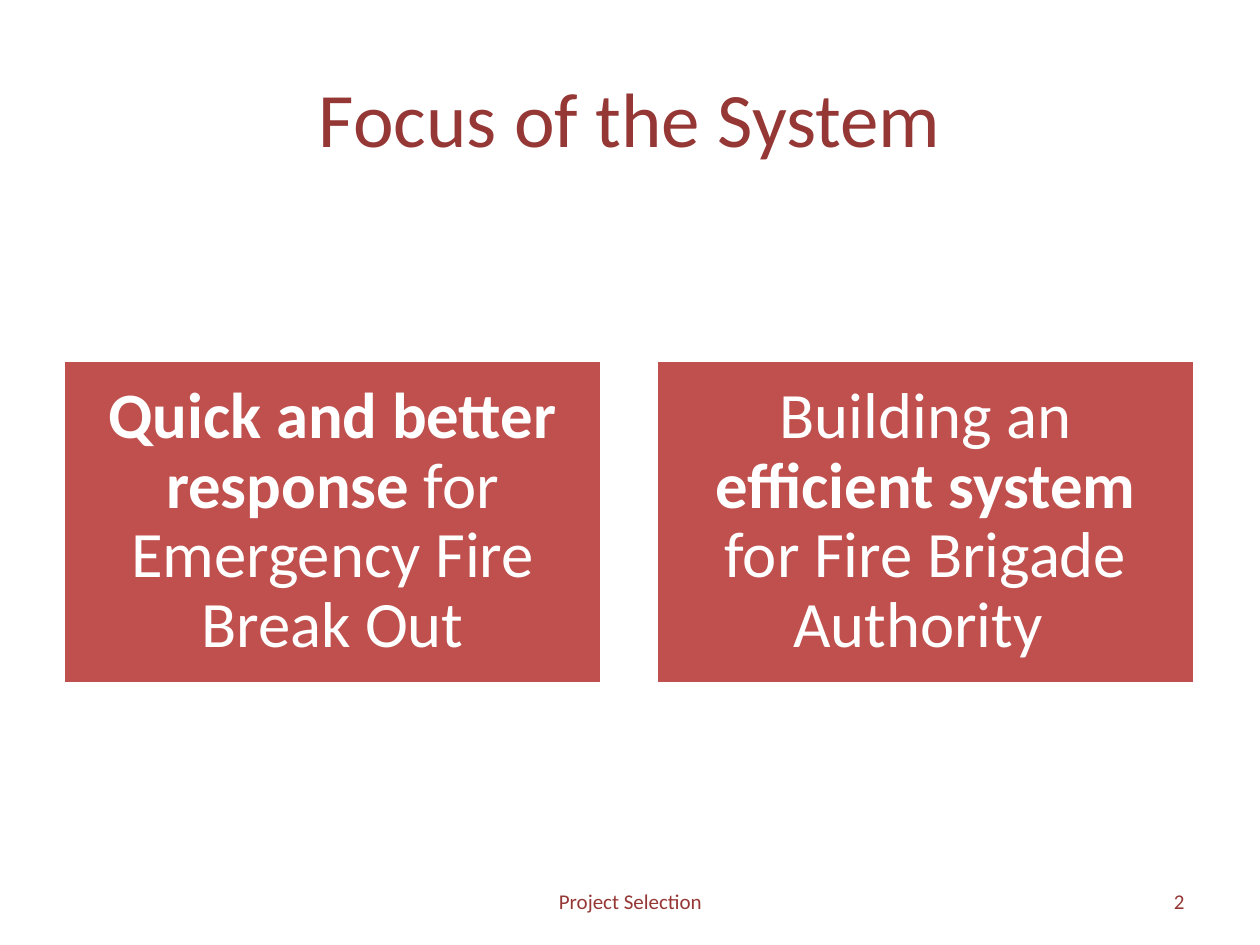
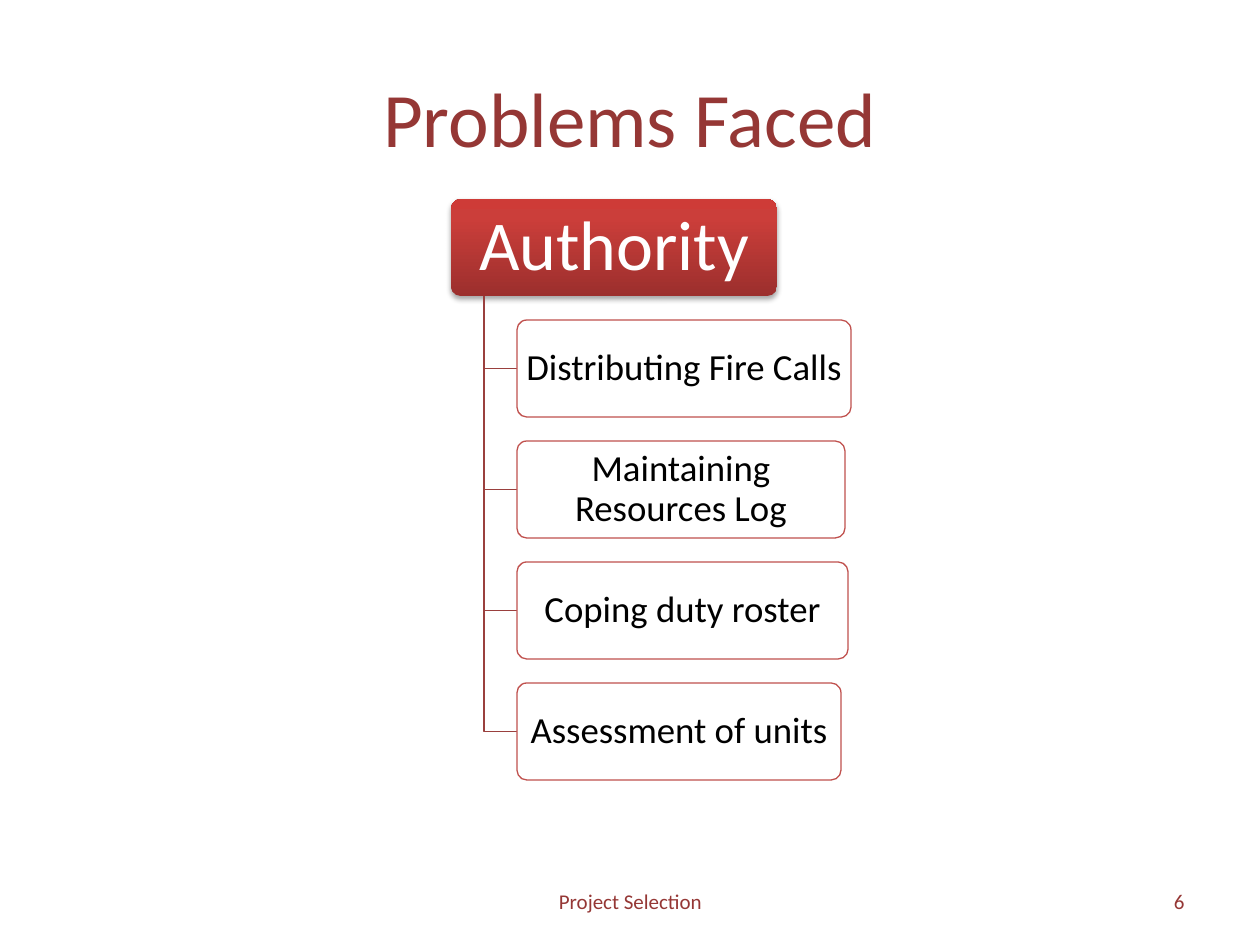
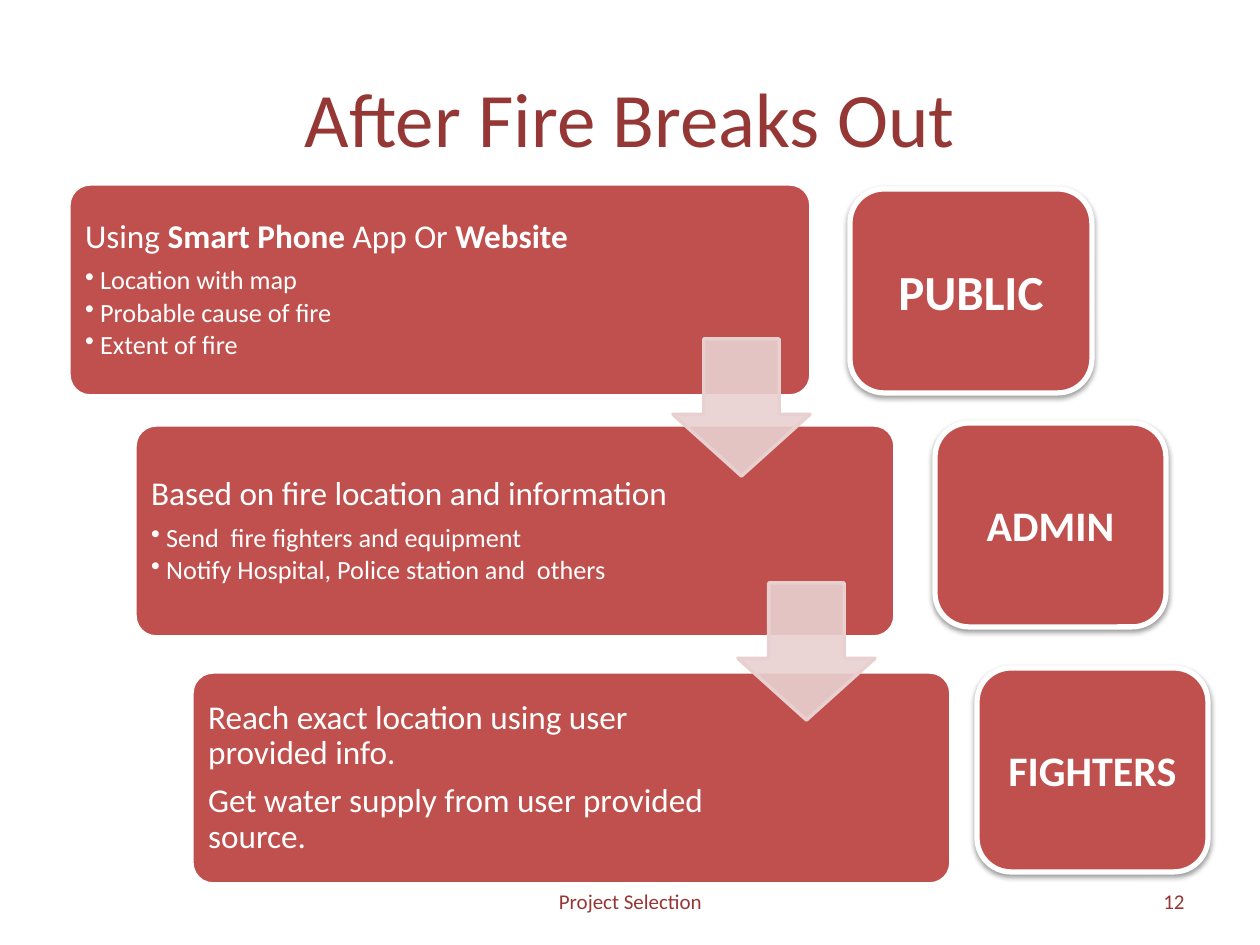
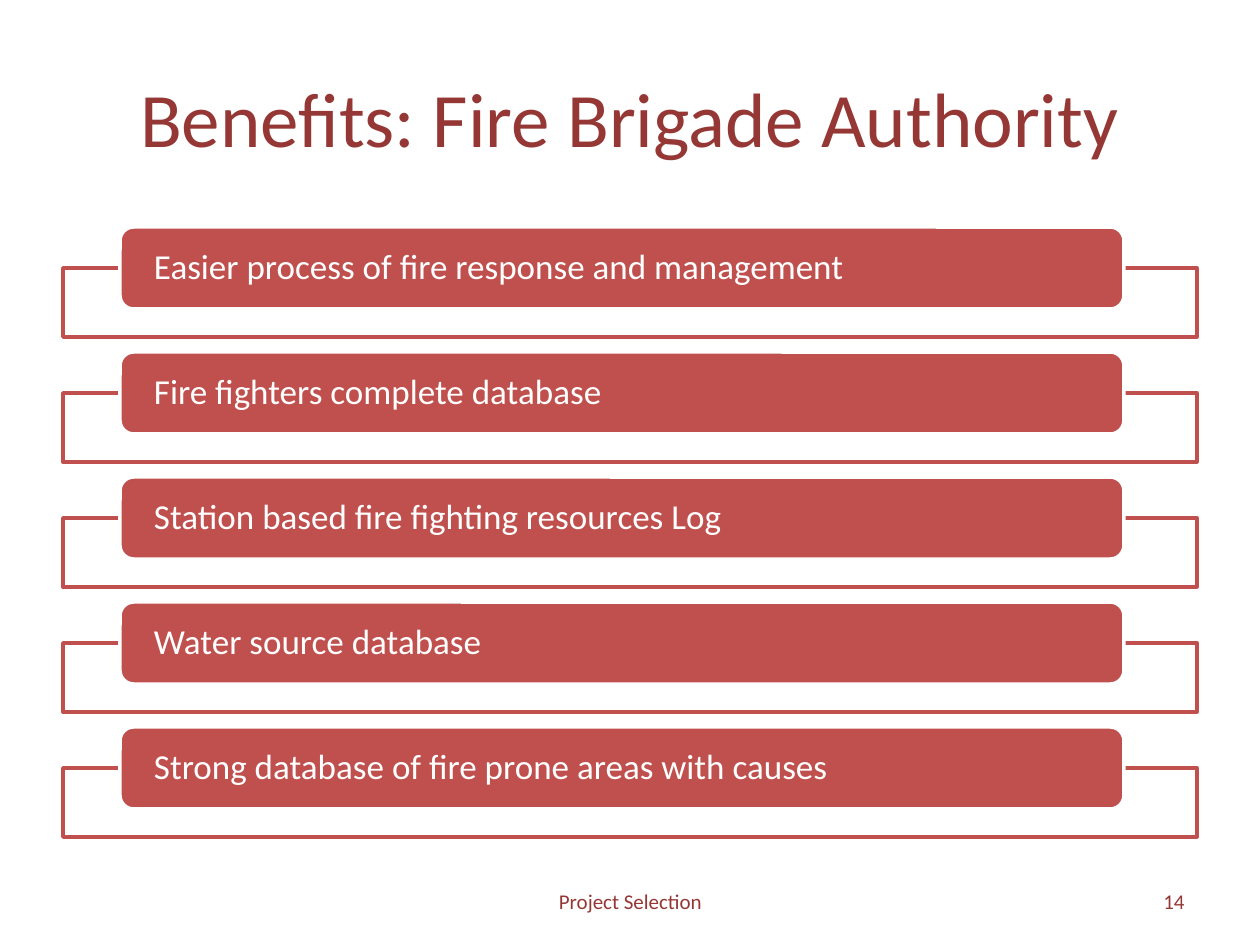
from copy import deepcopy

from lxml.etree import SubElement as Sub
from pptx import Presentation
from pptx.dml.color import RGBColor
from pptx.enum.shapes import MSO_SHAPE as Kind
from pptx.enum.text import MSO_ANCHOR as Anchor, PP_ALIGN as Align
from pptx.oxml.ns import qn
from pptx.util import Pt

PX = 914400 / 126
FONT = "Calibri"
HUES = {
    "title": "953735", "red": "C0504D", "white": "FFFFFF", "black": "000000",
    "spine": "9A403E", "arrow": "E8D0D0",
    "dark": "9C2F2D", "mid": "CB3E3A", "light": "CE3B37",
}


def px(num):
    """Turn pixels into EMU."""
    return round(num * PX)


def hue(name):
    """Look up a colour."""
    return RGBColor.from_string(HUES[name])


def fade(fill, part):
    """Make a solid fill see-through; part is the opacity in percent."""
    for tone in fill.iter(qn("a:srgbClr")):
        Sub(tone, qn("a:alpha"), val=str(part * 1000))


def shade(shape, alpha, blur, dist):
    """Drop a soft black shadow straight down."""
    glow = shape._element.spPr.find(qn("a:effectLst"))
    drop = Sub(glow, qn("a:outerShdw"), blurRad=str(Pt(blur)),
               dist=str(Pt(dist)), dir="5400000", rotWithShape="0")
    tone = Sub(drop, qn("a:srgbClr"), val=HUES["black"])
    Sub(tone, qn("a:alpha"), val=str(alpha * 1000))


def add_run(para, text, size, color, bold=False):
    """Add one formatted run."""
    run = para.add_run()
    run.text = text
    font = run.font
    font.name, font.size, font.bold = FONT, Pt(size), bold
    font.color.rgb = hue(color)


def write(shape, paras, color="white", align=Align.CENTER, pad=None, tight=True):
    """Write paragraphs of (runs, size, bullet); a run is (text, bold)."""
    frame = shape.text_frame
    frame.word_wrap = True
    frame.vertical_anchor = Anchor.MIDDLE
    if pad:
        (frame.margin_left, frame.margin_top,
         frame.margin_right, frame.margin_bottom) = map(px, pad)
    for num, (runs, size, bullet) in enumerate(paras):
        para = frame.add_paragraph() if num else frame.paragraphs[0]
        para.alignment = align
        if tight:
            para.line_spacing = 0.9
            para.space_after = Pt(size * (0.15 if bullet else 0.35))
        if bullet:
            para.level = 1
            props = para._p.get_or_add_pPr()
            props.set("marL", str(px(15)))
            props.set("indent", str(px(-15)))
            Sub(props, qn("a:buChar"), char="•")
        for text, bold in runs:
            add_run(para, text, size, color, bold)


def plain(text, size, bold=False):
    """Give a list with one paragraph of one run."""
    return [([(text, bold)], size, False)]


def add_box(slide, kind, box, fill, line, width, alpha=None, adj=()):
    """Add a preset shape with its fill and outline."""
    shape = slide.shapes.add_shape(kind, *map(px, box))
    shape.shadow.inherit = False
    shape.fill.solid()
    shape.fill.fore_color.rgb = hue(fill)
    if alpha:
        fade(shape._element.spPr, alpha)
    shape.line.color.rgb = hue(line)
    shape.line.width = Pt(width)
    for num, value in enumerate(adj):
        shape.adjustments[num] = value
    return shape


def add_note(slide, box, text, align):
    """Add a small text in the footer."""
    note = slide.shapes.add_textbox(*map(px, box))
    write(note, plain(text, 12), "title", align, tight=False)


def add_slide(deck, title, page):
    """Start a slide with its title, footer and page number."""
    slide = deck.slides.add_slide(deck.slide_layouts[5])
    head = slide.shapes.title
    head.left, head.top, head.width, head.height = map(px, (63, 38, 1134, 157))
    write(head, plain(title, 44), "title", tight=False)
    add_note(slide, (431, 876, 399, 50), "Project Selection", Align.CENTER)
    add_note(slide, (903, 876, 294, 50), str(page), Align.RIGHT)
    return slide


def add_panels(slide, box, panels, gap):
    """Fill the box with equal panels side by side."""
    left, top, width, height = box
    wide = (width - gap * (len(panels) - 1)) / len(panels)
    for num, runs in enumerate(panels):
        spot = (left + num * (wide + gap), top, wide, height)
        panel = add_box(slide, Kind.RECTANGLE, spot, "red", "white", 2)
        write(panel, [(runs, 37, False)], pad=(19, 19, 19, 19))


def add_root(slide, box, text):
    """Add the glossy box on top of a tree."""
    root = add_box(slide, Kind.ROUNDED_RECTANGLE, box, "mid", "mid", 1, adj=[0.1])
    root.line.fill.background()
    root.fill.gradient()
    root.fill.gradient_angle = 90
    stops = root._element.spPr.find(".//" + qn("a:gsLst"))
    stops.append(deepcopy(stops[1]))
    looks = [(0, "dark"), (0.8, "mid"), (1, "light")]
    for stop, (place, name) in zip(root.fill.gradient_stops, looks):
        stop.position = place
        stop.color.rgb = hue(name)
    shade(root, 35, 3.1, 1.8)
    write(root, plain(text, 40), pad=(10, 8, 10, 8))


def add_tree(slide, box, text, leaves, step):
    """Add a root box with leaves of (text, width) hung below it."""
    left, top, _, height = box
    add_root(slide, box, text)
    spine, edge, base = left + 33, left + 66, top + height
    for num, (label, wide) in enumerate(leaves, 1):
        high = top + num * step
        mid = high + height / 2
        pen = slide.shapes.build_freeform(px(spine), px(base))
        pen.add_line_segments([(px(spine), px(mid)), (px(edge), px(mid))], close=False)
        twig = pen.convert_to_shape()
        twig.shadow.inherit = False
        twig.fill.background()
        twig.line.color.rgb = hue("spine")
        twig.line.width = Pt(0.75)
        leaf = add_box(slide, Kind.ROUNDED_RECTANGLE, (edge, high, wide, height),
                       "white", "red", 0.75, 90, [0.1])
        write(leaf, plain(label, 21), "black", pad=(4, 4, 4, 4))


def add_step(slide, box, paras, right):
    """Add a step card whose text stops short of its right side."""
    card = add_box(slide, Kind.ROUNDED_RECTANGLE, box, "red", "white", 2, adj=[0.1])
    write(card, paras, align=Align.LEFT, pad=(10, 10, right, 10))


def add_arrow(slide, left, top):
    """Add a pale arrow that leads to the next step."""
    arrow = add_box(slide, Kind.DOWN_ARROW, (left, top, 137, 137),
                    "arrow", "arrow", 2, 90, [0.55, 0.45])
    return arrow


def add_tag(slide, box, text, size):
    """Add a raised label that names who acts."""
    tag = add_box(slide, Kind.ROUNDED_RECTANGLE, box, "red", "white", 3)
    shade(tag, 38, 3.1, 1.6)
    write(tag, plain(text, size, True), tight=False)


def add_bars(slide, box, labels, step):
    """Stack labelled bars, each over an open frame as wide as the box."""
    left, top, width, _ = box
    for num, label in enumerate(labels):
        high = top + num * step
        add_box(slide, Kind.RECTANGLE, (left, high + 41, width, 69),
                "white", "red", 2, 90)
        bar = add_box(slide, Kind.ROUNDED_RECTANGLE, (left + 57, high, 1004, 82),
                      "red", "white", 2)
        write(bar, plain(label, 20), align=Align.LEFT, pad=(30, 0, 30, 0))


def focus(deck):
    """Build the slide on the focus."""
    slide = add_slide(deck, "Focus of the System", 2)
    add_panels(slide, (63, 360, 1132, 324), [
        [("Quick and better response ", True), ("for Emergency Fire Break Out", False)],
        [("Building an ", False), ("efficient system ", True),
         ("for Fire Brigade Authority ", False)],
    ], 54)


def problems(deck):
    """Build the slide on the problems."""
    slide = add_slide(deck, "Problems Faced", 6)
    add_tree(slide, (451, 199, 326, 97), "Authority", [
        ("Distributing Fire Calls", 334),
        ("Maintaining Resources Log", 328),
        ("Coping duty roster", 331),
        ("Assessment of units", 324),
    ], 121)


def outbreak(deck):
    """Build the slide on the steps after a fire breaks out."""
    slide = add_slide(deck, "After Fire Breaks Out", 12)

    def points(*texts):
        """Give small bulleted paragraphs."""
        return [([(text, False)], 15, True) for text in texts]

    lead = [("Using ", False), ("Smart Phone", True), (" App Or ", False),
            ("Website", True)]
    add_step(slide, (69, 184, 742, 212), [(lead, 19, False)] + points(
        "Location with map", "Probable cause of fire", "Extent of fire"), 227)
    add_step(slide, (135, 425, 760, 212),
             plain("Based on fire location and information", 19) + points(
                 "Send  fire fighters and equipment",
                 "Notify Hospital, Police station and  others"), 218)
    add_step(slide, (192, 672, 759, 212),
             plain("Reach exact location using user provided info.", 19)
             + plain("Get water supply from user provided source.", 19), 218)
    add_arrow(slide, 673, 339)
    add_arrow(slide, 738, 583)
    add_tag(slide, (850, 189, 242, 204), "PUBLIC", 28)
    add_tag(slide, (935, 423, 231, 204), "ADMIN", 24)
    add_tag(slide, (977, 668, 231, 204), "FIGHTERS", 24)


def benefits(deck):
    """Build the slide on the benefits."""
    slide = add_slide(deck, "Benefits: Fire Brigade Authority", 14)
    add_bars(slide, (63, 227, 1134, 610), [
        "Easier process of fire response and management",
        "Fire fighters complete database",
        "Station based fire fighting resources Log",
        "Water source database",
        "Strong database of fire prone areas with causes",
    ], 125)


deck = Presentation()
deck.slide_width, deck.slide_height = px(1260), px(945)
for build in (focus, problems, outbreak, benefits):
    build(deck)
deck.save("out.pptx")
